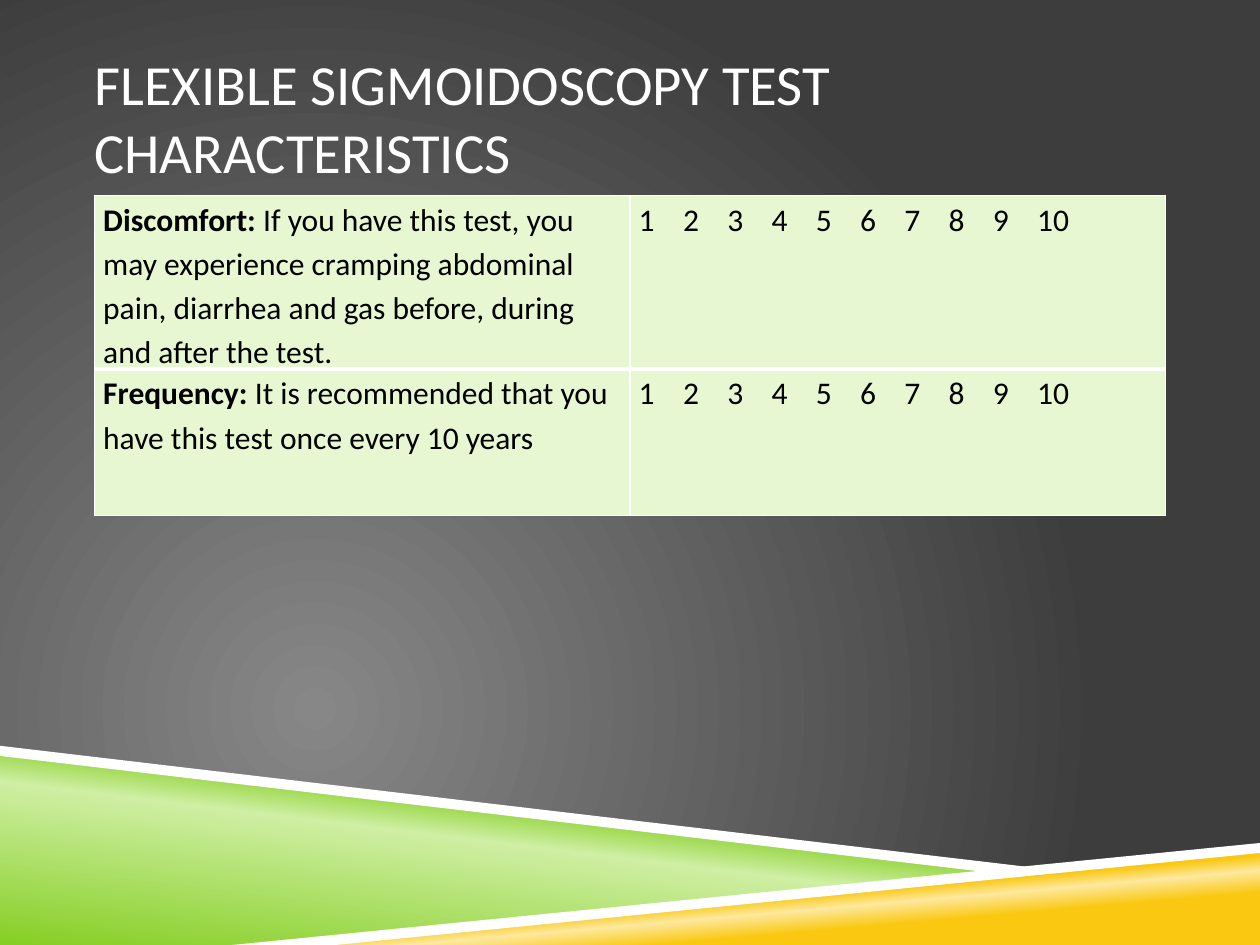
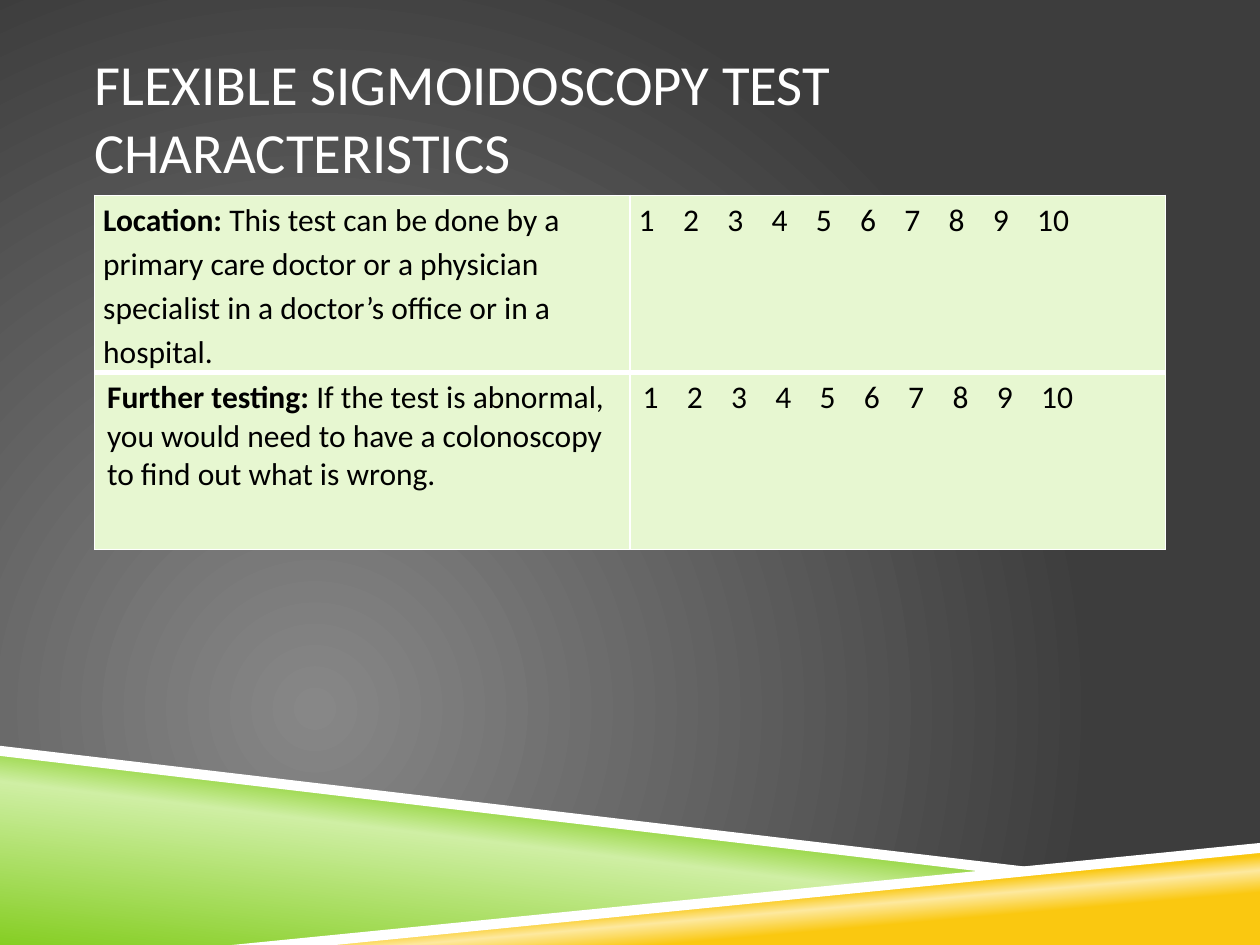
from pptx import Presentation
from pptx.dml.color import RGBColor as RGB
from pptx.enum.text import MSO_ANCHOR as Anchor
from pptx.oxml import parse_xml
from pptx.oxml.ns import nsdecls, qn
from pptx.util import Pt

COLORS = {
    "white": "FFFFFF",
    "black": "000000",
    "glow": "878787",
    "dark": "3D3D3D",
    "green": "86CE24",
    "pale green": "CFEFA4",
    "gold": "FAC810",
    "pale gold": "FDE99F",
    "cell": "E7F7D1",
}
FONT = "Calibri"
TITLE = "FLEXIBLE SIGMOIDOSCOPY TEST CHARACTERISTICS"
SCALE = "\t".join(str(score) for score in range(1, 11))
SCORE_STEP = 25.3
LEFT, WIDTH = 54, 612
TITLE_TOP, TABLE_TOP = 21.6, 111.6

SPOT = ('<a:path path="circle"><a:fillToRect l="50000" t="100000" '
        'r="100000" b="50000"/></a:path>')
BANDS = [
    ([(142.2, 540), (720, 483.8), (720, 540)],
     [(28, "gold"), (40, "pale gold"), (48, "gold")], 265),
    ([(0, 429.8), (570.2, 498.2), (144, 540), (0, 540)],
     [(0, "green"), (52, "pale green"), (66, "green")], 277),
    ([(0, 426.2), (0, 432), (568.8, 499), (599, 496.8)], None, None),
    ([(720, 481.7), (132.5, 540), (191.5, 540), (720, 487.4)], None, None),
]

TIGHT = {"side": 5, "top": 0, "spacing": 1.15}
ROOMY = {"side": 7.2, "top": 3.6, "spacing": 1.0}
SLIDES = [
    (83.5, [
        ("Discomfort: ", "If you have this test, you may experience cramping "
         "abdominal pain, diarrhea and gas before, during and after the test.", TIGHT),
        ("Frequency: ", "It is recommended that you have this test once every "
         "10 years", TIGHT),
    ]),
    (101.2, [
        ("Location: ", "This test can be done by a primary care doctor or a "
         "physician specialist in a doctor’s office or in a hospital.", TIGHT),
        ("Further testing: ", "If the test is abnormal, you would need to have "
         "a colonoscopy to find out what is wrong.", ROOMY),
    ]),
]


def set_gradient(fill, owner, stops, direction):
    fill.gradient()
    stop_xml = "".join(
        f'<a:gs pos="{pos * 1000}"><a:srgbClr val="{COLORS[color]}"/></a:gs>'
        for pos, color in stops)
    default = owner.find(".//" + qn("a:gradFill"))
    default.getparent().replace(default, parse_xml(
        f'<a:gradFill {nsdecls("a")} rotWithShape="1">'
        f'<a:gsLst>{stop_xml}</a:gsLst>{direction}</a:gradFill>'))


def set_font(paragraph, size, color):
    paragraph.font.name = FONT
    paragraph.font.size = Pt(size)
    paragraph.font.color.rgb = RGB.from_string(COLORS[color])


prs = Presentation()
prs.slide_width, prs.slide_height = Pt(720), Pt(540)

for row_height, criteria in SLIDES:
    slide = prs.slides.add_slide(prs.slide_layouts[6])
    set_gradient(slide.background.fill, slide.element,
                 [(0, "glow"), (100, "dark")], SPOT)

    for corners, stops, angle in BANDS:
        points = [(Pt(x), Pt(y)) for x, y in corners]
        outline = slide.shapes.build_freeform(*points[0], scale=1.0)
        outline.add_line_segments(points[1:], close=True)
        band = outline.convert_to_shape()
        band.shadow.inherit = False
        band.line.fill.background()
        if stops:
            set_gradient(band.fill, band.element, stops,
                         f'<a:lin ang="{angle * 60000}" scaled="0"/>')
        else:
            band.fill.solid()
            band.fill.fore_color.rgb = RGB.from_string(COLORS["white"])

    heading = slide.shapes.add_textbox(
        Pt(LEFT), Pt(TITLE_TOP), Pt(WIDTH), Pt(TABLE_TOP - TITLE_TOP)).text_frame
    heading.word_wrap = True
    heading.vertical_anchor = Anchor.MIDDLE
    heading.margin_left = heading.margin_right = 0
    heading.text = TITLE
    set_font(heading.paragraphs[0], 32.4, "white")

    ratings = slide.shapes.add_table(
        len(criteria), 2, Pt(LEFT), Pt(TABLE_TOP), Pt(WIDTH),
        Pt(row_height * len(criteria))).table
    ratings.first_row = ratings.horz_banding = False

    for row, (label, detail, layout) in enumerate(criteria):
        for col, pieces in enumerate([[(label, True), (detail, False)],
                                      [(SCALE, False)]]):
            cell = ratings.cell(row, col)
            cell.margin_left = cell.margin_right = Pt(layout["side"])
            cell.margin_top = cell.margin_bottom = Pt(layout["top"])

            tc_pr = cell._tc.get_or_add_tcPr()
            inner_edge = "B" if row == 0 else "T"
            for edge in "LRTB":
                weight = Pt(3 if edge == inner_edge else 1)
                tc_pr.append(parse_xml(
                    f'<a:ln{edge} {nsdecls("a")} w="{weight}"><a:solidFill>'
                    f'<a:srgbClr val="{COLORS["white"]}"/></a:solidFill></a:ln{edge}>'))
            cell.fill.solid()
            cell.fill.fore_color.rgb = RGB.from_string(COLORS["cell"])

            paragraph = cell.text_frame.paragraphs[0]
            paragraph.line_spacing = layout["spacing"]
            if col == 1:
                tabs = "".join(f'<a:tab pos="{Pt(SCORE_STEP * n)}" algn="l"/>'
                               for n in range(1, 10))
                paragraph._p.get_or_add_pPr().append(parse_xml(
                    f'<a:tabLst {nsdecls("a")}>{tabs}</a:tabLst>'))
            set_font(paragraph, 18, "black")
            for text, bold in pieces:
                run = paragraph.add_run()
                run.text = text
                run.font.bold = bold

prs.save("out.pptx")
